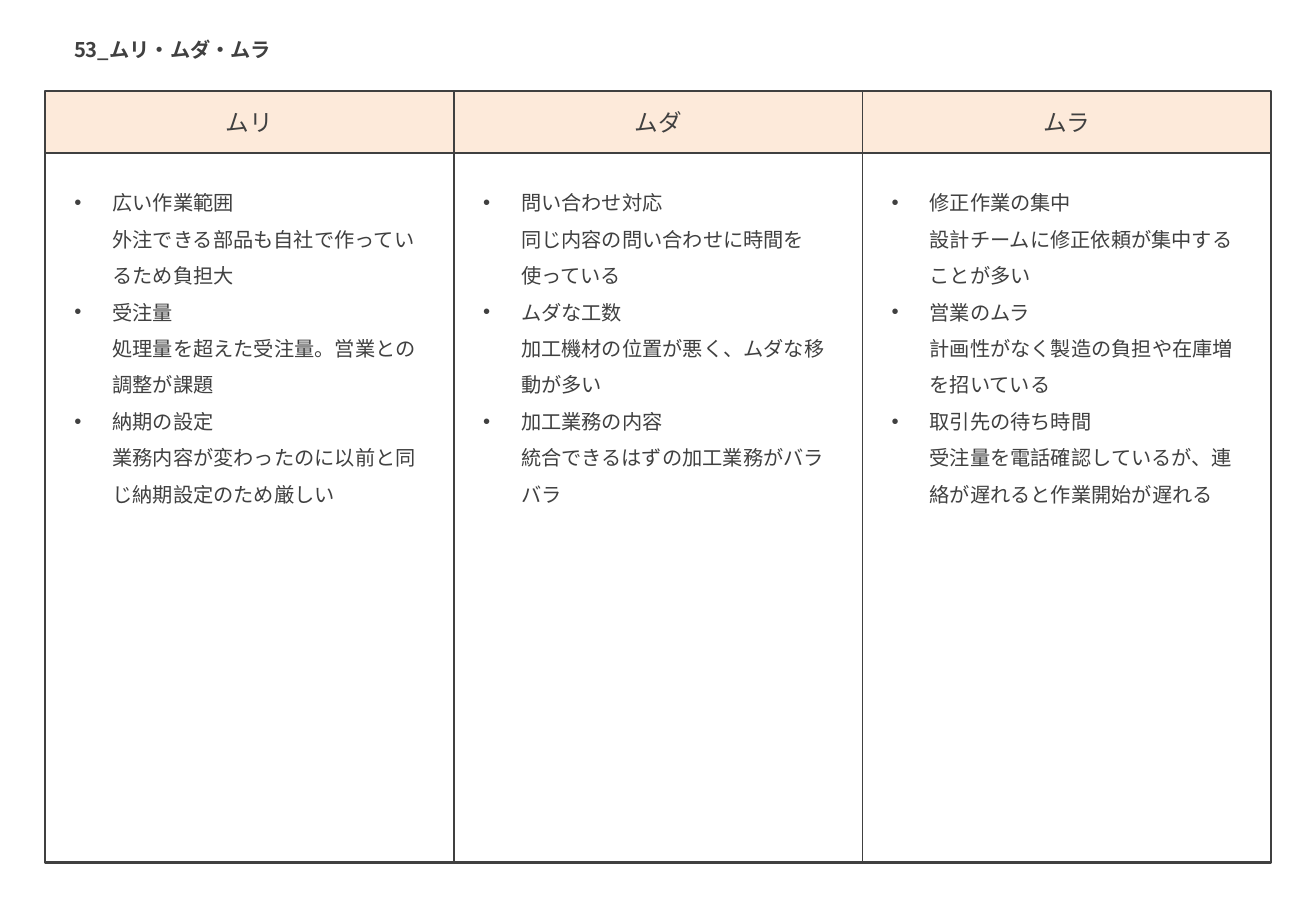
from copy import deepcopy

from lxml.etree import SubElement
from pptx import Presentation
from pptx.dml.color import RGBColor
from pptx.enum.shapes import MSO_CONNECTOR, MSO_SHAPE
from pptx.enum.text import MSO_ANCHOR, MSO_AUTO_SIZE, PP_ALIGN
from pptx.oxml.ns import qn
from pptx.util import Pt

TITLE = "53_ムリ・ムダ・ムラ"
COLUMNS = [
    ("ムリ", [
        ("広い作業範囲", "外注できる部品も自社で作っているため負担大"),
        ("受注量", "処理量を超えた受注量。営業との調整が課題"),
        ("納期の設定", "業務内容が変わったのに以前と同じ納期設定のため厳しい"),
    ]),
    ("ムダ", [
        ("問い合わせ対応", "同じ内容の問い合わせに時間を使っている"),
        ("ムダな工数", "加工機材の位置が悪く、ムダな移動が多い"),
        ("加工業務の内容", "統合できるはずの加工業務がバラバラ"),
    ]),
    ("ムラ", [
        ("修正作業の集中", "設計チームに修正依頼が集中することが多い"),
        ("営業のムラ", "計画性がなく製造の負担や在庫増を招いている"),
        ("取引先の待ち時間", "受注量を電話確認しているが、連絡が遅れると作業開始が遅れる"),
    ]),
]
COLORS = {"ink": "404040", "header": "FDEADA"}
FONT = "Noto Sans CJK JP"

LEFT, TOP, WIDTH, HEIGHT = 26.8, 54, 726.6, 457.2
HEADER_H = 36.8
COL_W = WIDTH / len(COLUMNS)
LABEL_W, LABEL_H = 195.8, 24.2
BODY_W, BODY_H, BODY_TOP = 221.8, 201.6, 102.2
INDENT = 22.5


def color(name):
    """Return a palette colour."""
    return RGBColor.from_string(COLORS[name])


def write(sp, lines, size=12, bold=False, align=PP_ALIGN.LEFT,
          anchor=MSO_ANCHOR.TOP, wrap=True, bullet=False):
    """Fill a shape with formatted paragraphs."""
    tf = sp.text_frame
    tf.word_wrap = wrap
    tf.auto_size = MSO_AUTO_SIZE.SHAPE_TO_FIT_TEXT
    tf.vertical_anchor = anchor
    for i, line in enumerate(lines):
        p = tf.paragraphs[0] if i == 0 else tf.add_paragraph()
        p.text = line
        p.alignment = align
        if bullet:
            p.line_spacing = 1.5
            pPr = p._p.get_or_add_pPr()
            pPr.set("marL", str(Pt(INDENT)))
            pPr.set("indent", str(-Pt(INDENT)))
            SubElement(pPr, qn("a:buFont")).set("typeface", "Arial")
            SubElement(pPr, qn("a:buChar")).set("char", "•")
        for r in p.runs:
            r.font.size = Pt(size)
            r.font.bold = bold
            r.font.color.rgb = color("ink")
            r.font.name = FONT
            SubElement(r._r.get_or_add_rPr(), qn("a:ea")).set("typeface", FONT)
        for br in p._p.findall(qn("a:br")):
            br.append(deepcopy(p.runs[0]._r.rPr))


def add_text(slide, x, y, w, h, lines, **fmt):
    """Add a text box."""
    sp = slide.shapes.add_textbox(Pt(x), Pt(y), Pt(w), Pt(h))
    write(sp, lines, **fmt)


def add_rect(slide, h, fill=None, line=None):
    """Add a full-width rectangle at the top of the grid."""
    sp = slide.shapes.add_shape(MSO_SHAPE.RECTANGLE, Pt(LEFT), Pt(TOP), Pt(WIDTH), Pt(h))
    sp.shadow.inherit = False
    if fill:
        sp.fill.solid()
        sp.fill.fore_color.rgb = color(fill)
    else:
        sp.fill.background()
    if line:
        sp.line.color.rgb = color(line)
        sp.line.width = Pt(1.5)
    else:
        sp.line.fill.background()


def add_rule(slide, x1, y1, x2, y2):
    """Add a thin grid line."""
    ln = slide.shapes.add_connector(MSO_CONNECTOR.STRAIGHT, Pt(x1), Pt(y1), Pt(x2), Pt(y2))
    ln.line.color.rgb = color("ink")
    ln.line.width = Pt(1)
    SubElement(ln._element.spPr, qn("a:effectLst"))


def main():
    """Build the three-column slide."""
    prs = Presentation()
    prs.slide_width, prs.slide_height = Pt(780), Pt(540)
    slide = prs.slides.add_slide(prs.slide_layouts[5])

    title = slide.shapes.title
    title.left, title.top, title.width, title.height = Pt(36.7), Pt(18.7), Pt(136), Pt(21.8)
    write(title, [TITLE], bold=True, wrap=False)

    add_rect(slide, HEADER_H, fill="header")
    add_rule(slide, LEFT, TOP + HEADER_H, LEFT + WIDTH, TOP + HEADER_H)
    add_rect(slide, HEIGHT, line="ink")

    for i, (label, items) in enumerate(COLUMNS):
        x = LEFT + i * COL_W
        if i:
            add_rule(slide, x, TOP, x, TOP + HEIGHT)
        add_text(slide, x + (COL_W - LABEL_W) / 2, TOP + (HEADER_H - LABEL_H) / 2,
                 LABEL_W, LABEL_H, [label], size=14, align=PP_ALIGN.CENTER,
                 anchor=MSO_ANCHOR.MIDDLE)
        add_text(slide, x + (COL_W - BODY_W) / 2, BODY_TOP, BODY_W, BODY_H,
                 ["\v".join(item) for item in items], bullet=True)

    prs.save("out.pptx")


if __name__ == "__main__":
    main()
